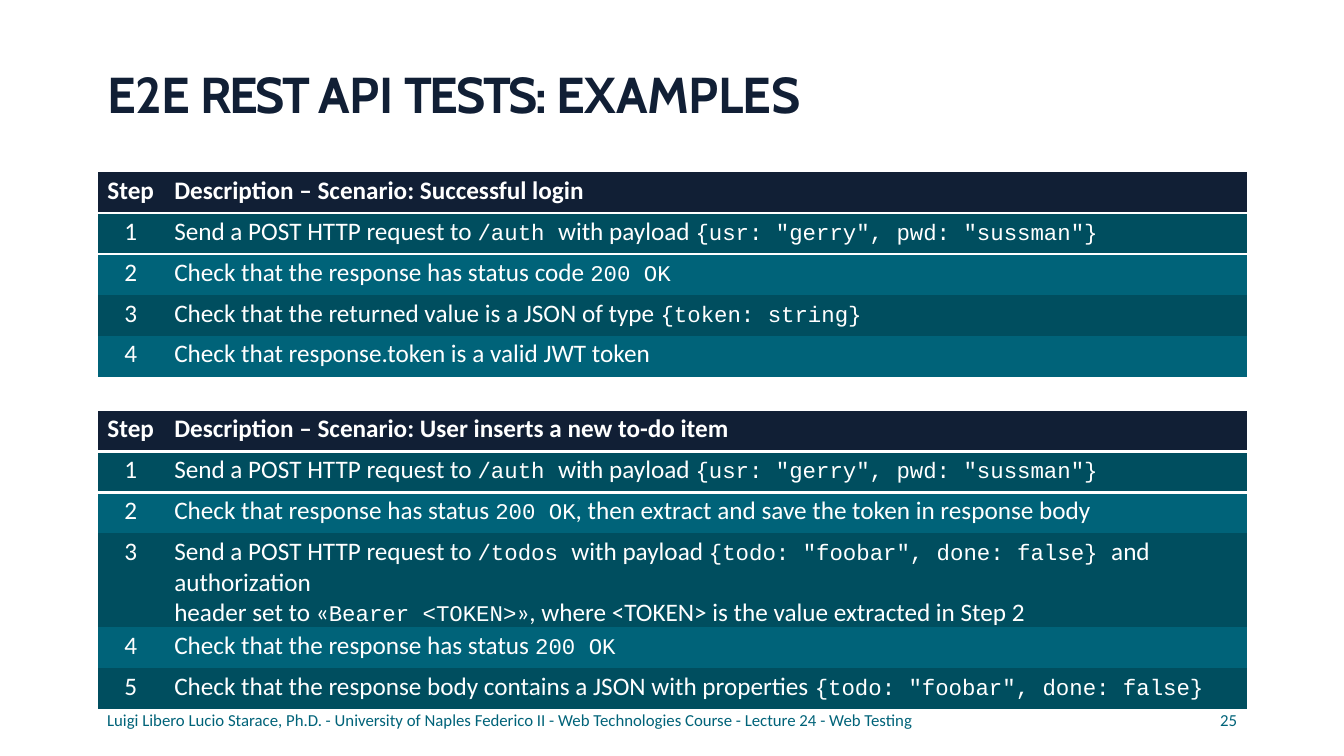
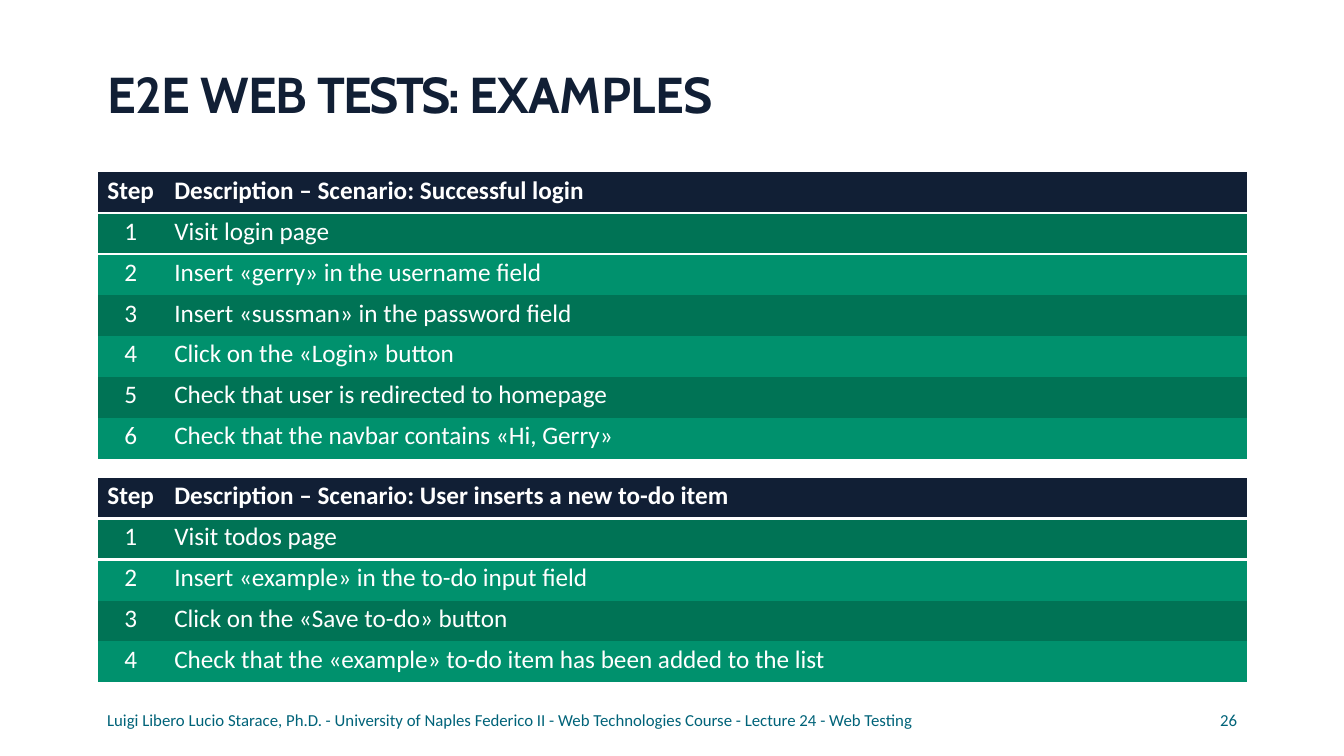
from dataclasses import dataclass

from lxml import etree
from pptx import Presentation
from pptx import util as u
from pptx.dml import color
from pptx.enum import text
from pptx.oxml import ns

PX = 9525
NAVY, TEAL, WHITE = "111F35", "006379", "FFFFFF"
SANS, MONO, HEADING = "Calibri", "Courier New", "Cabin"
NO_TABLE_STYLE = "{2D5ABB26-0587-4C30-8999-92F81FD0307C}"
TABLE_LEFT, STEP_WIDTH, DESCRIPTION_WIDTH = 93, 63, 1032
ROW_HEIGHT, TALL_ROW_HEIGHT = 39, 67
FOOTER = (
    "Luigi Libero Lucio Starace, Ph.D. - University of Naples Federico II"
    " - Web Technologies Course - Lecture 24 - Web Testing"
)
LOGIN = "Successful login"
NEW_ITEM = "User inserts a new to-do item"
AUTH_STEP = 'Send a POST HTTP request to `/auth `with payload `{usr: "gerry", pwd: "sussman"}`'


@dataclass(frozen=True)
class Style:
    font: str
    size: int
    color: str
    bold: bool = False


@dataclass(frozen=True)
class Scenario:
    top: int
    name: str
    steps: tuple[str, ...]


@dataclass(frozen=True)
class TestSlide:
    number: int
    title: tuple[tuple[str, float], ...]
    bands: tuple[str, str]
    scenarios: tuple[Scenario, ...]


TITLE_STYLE = Style(HEADING, 36, NAVY, True)
FOOTER_STYLE = Style(SANS, 12, TEAL)
HEADER_STYLE = Style(SANS, 18, WHITE, True)
BODY_STYLE = Style(SANS, 18, WHITE)
CODE_STYLE = Style(MONO, 16, WHITE)

SLIDES = (
    TestSlide(
        25,
        (("E2E ", -0.4), ("REST ", -1.9), ("API ", -0.4), ("TESTS: ", -1.6), ("EXAMPLES", -0.3)),
        ("004E5F", TEAL),
        (
            Scenario(164, LOGIN, (
                AUTH_STEP,
                "Check that the response has status code `200 OK`",
                "Check that the returned value is a JSON of type `{token: string}`",
                "Check that response.token is a valid JWT token",
            )),
            Scenario(391, NEW_ITEM, (
                AUTH_STEP,
                "Check that response has status `200 OK`, then extract and save the token in response body",
                'Send a POST HTTP request to `/todos `with payload `{todo: "foobar", done: false} `and authorization\n'
                "header set to «`Bearer <TOKEN>`», where <TOKEN> is the value extracted in Step 2",
                "Check that the response has status `200 OK`",
                'Check that the response body contains a JSON with properties `{todo: "foobar", done: false}`',
            )),
        ),
    ),
    TestSlide(
        26,
        (("E2E ", -0.4), ("WEB ", -0.7), ("TESTS: ", -1.7), ("EXAMPLES", -0.3)),
        ("007355", "00916D"),
        (
            Scenario(164, LOGIN, (
                "Visit login page",
                "Insert «gerry» in the username field",
                "Insert «sussman» in the password field",
                "Click on the «Login» button",
                "Check that user is redirected to homepage",
                "Check that the navbar contains «Hi, Gerry»",
            )),
            Scenario(455, NEW_ITEM, (
                "Visit todos page",
                "Insert «example» in the to-do input field",
                "Click on the «Save to-do» button",
                "Check that the «example» to-do item has been added to the list",
            )),
        ),
    ),
)


def px(length: int) -> int:
    return u.Emu(length * PX)


def rgb(value: str) -> color.RGBColor:
    return color.RGBColor.from_string(value)


def add_run(paragraph, content: str, style: Style, spacing: float = 0) -> None:
    run = paragraph.add_run()
    run.text = content
    run.font.name = style.font
    run.font.size = u.Pt(style.size)
    run.font.bold = style.bold
    run.font.color.rgb = rgb(style.color)
    if spacing:
        run.font._element.set("spc", str(round(spacing * 100)))


def add_text_box(slide, left: int, top: int, width: int, height: int):
    frame = slide.shapes.add_textbox(px(left), px(top), px(width), px(height)).text_frame
    frame.margin_left = frame.margin_right = frame.margin_top = frame.margin_bottom = 0
    frame.word_wrap = True
    frame.auto_size = text.MSO_AUTO_SIZE.SHAPE_TO_FIT_TEXT
    return frame


def add_title(slide, parts: tuple[tuple[str, float], ...]) -> None:
    frame = add_text_box(slide, 102, 59, 1093, 60)
    frame.margin_top = px(1)
    paragraph = frame.paragraphs[0]
    paragraph.space_before = u.Pt(1)
    for content, spacing in parts:
        add_run(paragraph, content, TITLE_STYLE, spacing)


def add_footer(slide, number: int) -> None:
    for left, width, content in ((102, 770, FOOTER), (1162, 24, str(number))):
        paragraph = add_text_box(slide, left, 679, width, 18).paragraphs[0]
        paragraph.line_spacing = u.Pt(12.4)
        add_run(paragraph, content, FOOTER_STYLE)


def add_bottom_border(cell) -> None:
    line = etree.Element(ns.qn("a:lnB"), w=str(u.Pt(2.25)))
    fill = etree.SubElement(line, ns.qn("a:solidFill"))
    etree.SubElement(fill, ns.qn("a:srgbClr"), val=WHITE)
    cell._tc.get_or_add_tcPr().insert(0, line)


def fill_cell(cell, content: str, style: Style, fill: str, centered: bool) -> None:
    cell.fill.solid()
    cell.fill.fore_color.rgb = rgb(fill)
    cell.margin_left = px(0 if centered else 10)
    cell.margin_right = cell.margin_bottom = 0
    cell.margin_top = px(3)
    frame = cell.text_frame
    for index, line in enumerate(content.split("\n")):
        paragraph = frame.add_paragraph() if index else frame.paragraphs[0]
        paragraph.space_before = u.Pt(0 if index else 2.5)
        paragraph.alignment = text.PP_ALIGN.CENTER if centered else text.PP_ALIGN.LEFT
        for part_index, part in enumerate(line.split("`")):
            if part:
                add_run(paragraph, part, CODE_STYLE if part_index % 2 else style)


def add_scenario(slide, scenario: Scenario, bands: tuple[str, str]) -> None:
    rows = [("Step", f"Description – Scenario: {scenario.name}")]
    rows += [(str(number), step) for number, step in enumerate(scenario.steps, 1)]
    heights = [TALL_ROW_HEIGHT if "\n" in row[1] else ROW_HEIGHT for row in rows]
    table = slide.shapes.add_table(
        len(rows), 2, px(TABLE_LEFT), px(scenario.top),
        px(STEP_WIDTH + DESCRIPTION_WIDTH), px(sum(heights)),
    ).table
    table._tbl.tblPr.find(ns.qn("a:tableStyleId")).text = NO_TABLE_STYLE
    table.horz_banding = False
    table.columns[0].width = px(STEP_WIDTH)
    table.columns[1].width = px(DESCRIPTION_WIDTH)
    for row_index, row in enumerate(rows):
        table.rows[row_index].height = px(heights[row_index])
        style = BODY_STYLE if row_index else HEADER_STYLE
        fill = bands[(row_index - 1) % 2] if row_index else NAVY
        for column_index, content in enumerate(row):
            cell = table.cell(row_index, column_index)
            fill_cell(cell, content, style, fill, column_index == 0)
            if row_index < 2:
                add_bottom_border(cell)


def main() -> None:
    presentation = Presentation()
    presentation.slide_width = px(1280)
    presentation.slide_height = px(720)
    for test_slide in SLIDES:
        slide = presentation.slides.add_slide(presentation.slide_layouts[6])
        add_footer(slide, test_slide.number)
        add_title(slide, test_slide.title)
        for scenario in test_slide.scenarios:
            add_scenario(slide, scenario, test_slide.bands)
    presentation.save("out.pptx")


if __name__ == "__main__":
    main()
